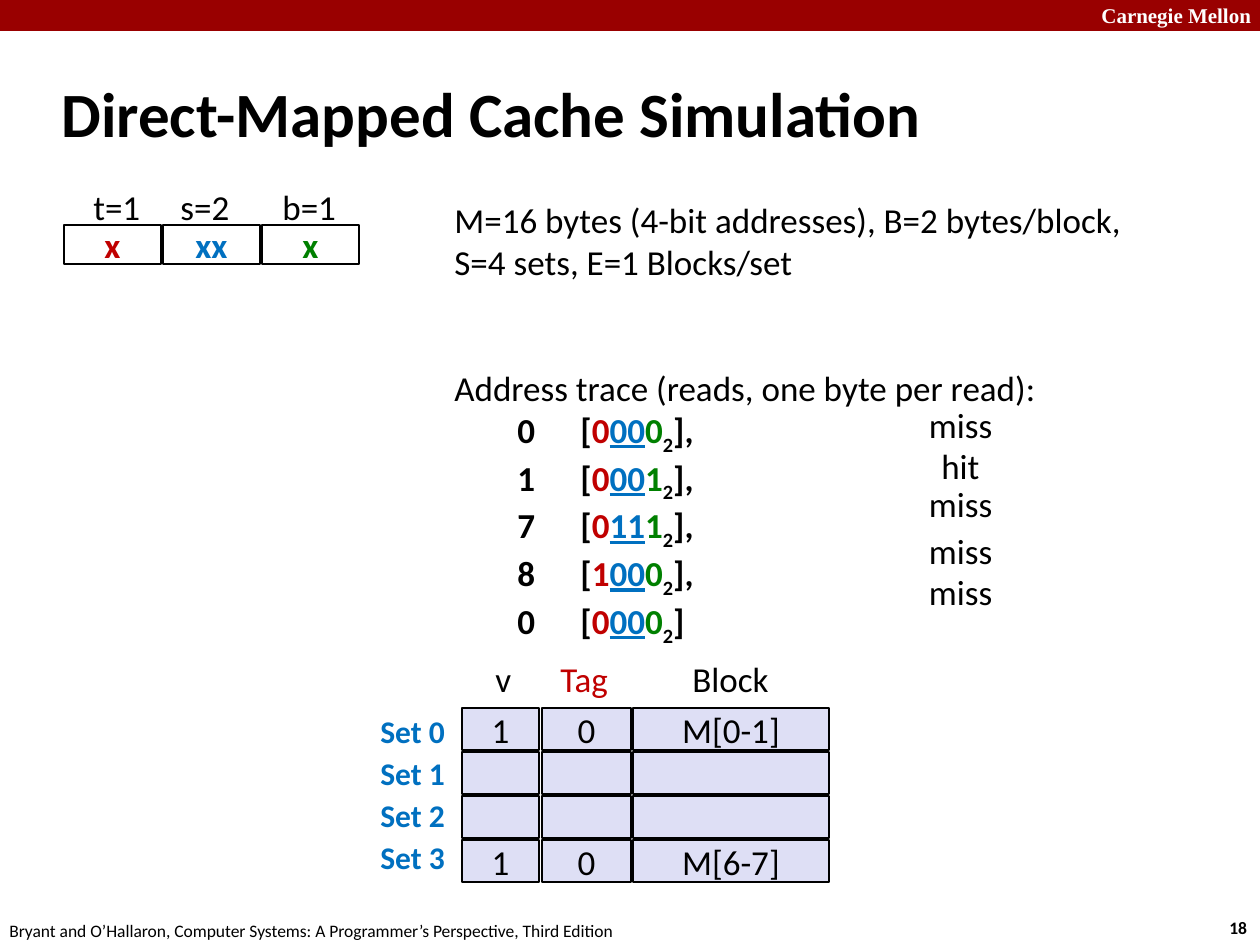
from dataclasses import dataclass

from pptx import Presentation
from pptx.dml.color import RGBColor
from pptx.enum.shapes import MSO_SHAPE
from pptx.enum.text import MSO_ANCHOR, MSO_AUTO_SIZE, PP_ALIGN
from pptx.util import Emu, Pt

EMU_PER_PX = 914400 / 126


def px(length):
    return Emu(round(length * EMU_PER_PX))


@dataclass(frozen=True)
class Theme:
    font: str = "Calibri"
    banner_font: str = "Times New Roman"
    black: str = "000000"
    white: str = "FFFFFF"
    banner: str = "990000"
    tag: str = "C00000"
    index: str = "0070C0"
    offset: str = "008000"
    cell: str = "DEDFF5"
    title_size: int = 36
    body_size: int = 20
    label_size: int = 18
    banner_size: int = 12
    footer_size: int = 10


THEME = Theme()


def write(paragraph, text, size=THEME.body_size, color=THEME.black, font=THEME.font,
          bold=False, underline=False, subscript=False):
    run = paragraph.add_run()
    run.text = text
    run.font.name = font
    run.font.size = Pt(size)
    run.font.bold = bold
    run.font.underline = underline
    run.font.color.rgb = RGBColor.from_string(color)
    if subscript:
        run._r.get_or_add_rPr().set("baseline", "-25000")


class SlideBuilder:
    def __init__(self, slide, theme):
        self.slide = slide
        self.theme = theme

    def frame(self, left, top, width, height, wrap=False):
        shape = self.slide.shapes.add_textbox(px(left), px(top), px(width), px(height))
        frame = shape.text_frame
        frame.word_wrap = wrap
        frame.auto_size = MSO_AUTO_SIZE.NONE if wrap else MSO_AUTO_SIZE.SHAPE_TO_FIT_TEXT
        return frame

    def text(self, left, top, width, height, text, wrap=False, line_spacing=None, **style):
        frame = self.frame(left, top, width, height, wrap)
        paragraph = frame.paragraphs[0]
        paragraph.line_spacing = line_spacing
        write(paragraph, text, **style)
        return frame

    def box(self, left, top, width, height, fill, text="", outlined=True, **style):
        shape = self.slide.shapes.add_shape(
            MSO_SHAPE.RECTANGLE, px(left), px(top), px(width), px(height))
        shape.shadow.inherit = False
        shape.fill.solid()
        shape.fill.fore_color.rgb = RGBColor.from_string(fill)
        if outlined:
            shape.line.color.rgb = RGBColor.from_string(self.theme.black)
            shape.line.width = Pt(1)
        else:
            shape.line.fill.background()
        if text:
            frame = shape.text_frame
            frame.word_wrap = False
            frame.vertical_anchor = MSO_ANCHOR.MIDDLE
            paragraph = frame.paragraphs[0]
            paragraph.alignment = PP_ALIGN.CENTER
            write(paragraph, text, **style)

    def trace(self, left, top, width, height, intro, accesses):
        frame = self.frame(left, top, width, height, wrap=True)
        for number, (line, gap) in enumerate(intro):
            paragraph = frame.add_paragraph() if number else frame.paragraphs[0]
            if gap:
                paragraph.space_before = Pt(gap)
            write(paragraph, line)
        for address, bits, ending in accesses:
            paragraph = frame.add_paragraph()
            write(paragraph, f"\t{address}\t[", bold=True)
            write(paragraph, bits[0], color=self.theme.tag, bold=True)
            write(paragraph, bits[1:3], color=self.theme.index, bold=True, underline=True)
            write(paragraph, bits[3], color=self.theme.offset, bold=True)
            write(paragraph, "2", bold=True, subscript=True)
            write(paragraph, ending, bold=True)


def main():
    presentation = Presentation()
    presentation.slide_width = px(1260)
    presentation.slide_height = px(945)
    slide = presentation.slides.add_slide(presentation.slide_layouts[6])
    builder = SlideBuilder(slide, THEME)

    builder.box(0, 0, 1260, 31, THEME.banner, outlined=False)
    builder.text(1089, -4, 180, 38, "Carnegie Mellon", wrap=True, size=THEME.banner_size,
                 font=THEME.banner_font, color=THEME.white, bold=True)
    builder.text(1217, 911, 47, 34, "18", size=THEME.footer_size, bold=True)
    builder.text(-3, 914, 640, 34,
                 "Bryant and O’Hallaron, Computer Systems: A Programmer’s Perspective, Third Edition",
                 size=THEME.footer_size)
    title = builder.text(49, 60, 1046, 105, "Direct-Mapped Cache Simulation", wrap=True,
                         size=THEME.title_size, bold=True)
    title.vertical_anchor = MSO_ANCHOR.MIDDLE

    intro = [
        ("M=16 bytes (4-bit addresses), B=2 bytes/block,", 0),
        ("S=4 sets, E=1 Blocks/set", 0),
        ("Address trace (reads, one byte per read):", 48),
    ]
    accesses = [
        (0, "0000", "],"),
        (1, "0001", "],"),
        (7, "0111", "],"),
        (8, "1000", "],"),
        (0, "0000", "]"),
    ]
    builder.trace(442, 192, 849, 436, intro, accesses)

    fields = [
        ("x", THEME.tag, "t=1", 81, 73),
        ("xx", THEME.index, "s=2", 168, 74),
        ("x", THEME.offset, "b=1", 270, 79),
    ]
    for column, (bits, color, label, left, width) in enumerate(fields):
        builder.box(64 + 99 * column, 225, 97, 39, THEME.white, bits, color=color, bold=True)
        builder.text(left, 179, width, 54, label)

    outcomes = [("miss", 410), ("hit", 451), ("miss", 489), ("miss", 536), ("miss", 577)]
    for outcome, top in outcomes:
        width = 64 if outcome == "hit" else 89
        builder.text(961 - width / 2, top, width, 43, outcome, line_spacing=0.65)

    headers = [("v", 483, 43, THEME.black), ("Tag", 548, 73, THEME.tag),
               ("Block", 680, 102, THEME.black)]
    for header, left, width, color in headers:
        builder.text(left, 651, width, 54, header, color=color)

    columns = [(462, 77), (542, 89), (633, 196)]
    cache_sets = [("1", "0", "M[0-1]"), ("", "", ""), ("", "", ""), ("1", "0", "M[6-7]")]
    for row, values in enumerate(cache_sets):
        for (left, width), value in zip(columns, values):
            builder.box(left, 708 + 44 * row, width, 42, THEME.cell, value)
        builder.text(368, 706 + 42 * row, 91, 50, f"Set {row}",
                     size=THEME.label_size, color=THEME.index, bold=True)

    presentation.save("out.pptx")


if __name__ == "__main__":
    main()
